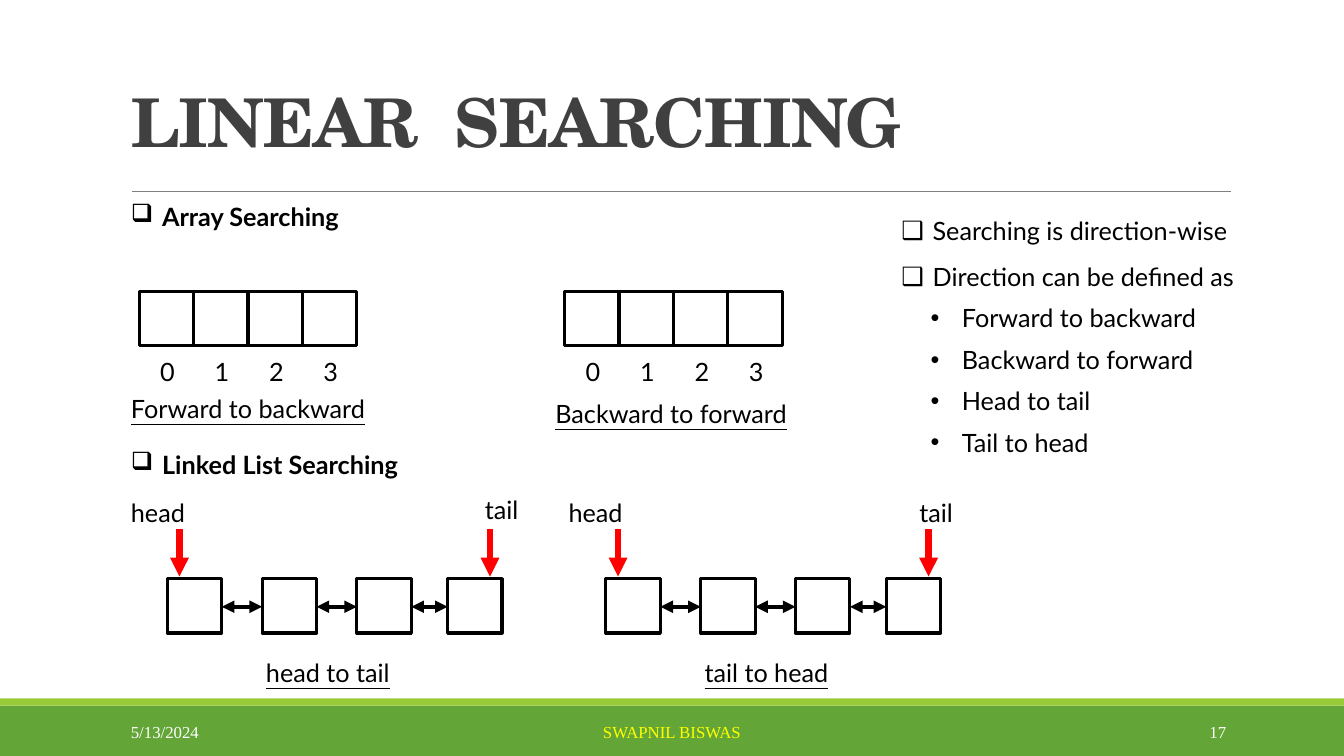
from pptx import Presentation
from pptx.dml.color import RGBColor
from pptx.enum.shapes import MSO_CONNECTOR as Connector, MSO_SHAPE as Shape
from pptx.enum.text import MSO_ANCHOR as Anchor, MSO_AUTO_SIZE as AutoSize, PP_ALIGN as Align
from pptx.oxml.ns import qn
from pptx.util import Inches, Pt
from lxml.etree import SubElement

CELL = 0.54
BLACK, WHITE, RED = "000000", "FFFFFF", "FF0000"


def color(hex_code):
    return RGBColor.from_string(hex_code)


class SearchSlide:
    """Draws the elements of one slide in a shared style."""

    font, size = "Lato", 18
    indent = 0.31

    def __init__(self, deck):
        self.slide = deck.slides.add_slide(deck.slide_layouts[1])
        self.shapes = self.slide.shapes

    def style(self, paragraph, size=None, font=None, hex_code=BLACK, bold=False, underline=False):
        for run in paragraph.runs:
            run.font.size = Pt(size or self.size)
            run.font.name = font or self.font
            run.font.bold = bold
            run.font.underline = underline
            run.font.color.rgb = color(hex_code)

    def bullet(self, paragraph, mark, left=0):
        properties = paragraph._p.get_or_add_pPr()
        properties.set("marL", str(Inches(left + self.indent)))
        properties.set("indent", str(-Inches(self.indent)))
        SubElement(properties, qn("a:buChar")).set("char", mark)

    def title(self, text):
        heading = self.shapes.title
        heading.left, heading.top = Inches(1.2), Inches(0.06)
        heading.width, heading.height = Inches(11), Inches(1.59)
        frame = heading.text_frame
        frame.text = text
        frame.vertical_anchor = Anchor.BOTTOM
        frame.auto_size = AutoSize.NONE
        line = frame.paragraphs[0]
        line.alignment = Align.LEFT
        line.line_spacing = 0.85
        self.style(line, 48, "TeX Gyre Schola", "404040", bold=True)
        line.runs[0].font._element.set("spc", "-50")

    def body(self, items):
        notes = self.slide.placeholders[1]
        notes.left, notes.top = Inches(8.84), Inches(2.09)
        notes.width, notes.height = Inches(3.7), Inches(2.5)
        frame = notes.text_frame
        frame.text = "\n".join(text for _, text in items)
        frame.auto_size = AutoSize.NONE
        for paragraph, (level, _) in zip(frame.paragraphs, items):
            paragraph.level = level
            paragraph.space_before = Pt(8 if level else 11)
            self.bullet(paragraph, "•" if level else "❑", 0.29 * level)
            self.style(paragraph)
        frame.paragraphs[0].space_before = Pt(0)

    def label(self, text, left, top, width, mark=None, **look):
        box = self.shapes.add_textbox(Inches(left), Inches(top), Inches(width), Inches(0.4))
        frame = box.text_frame
        frame.text = text
        frame.word_wrap = False
        frame.auto_size = AutoSize.SHAPE_TO_FIT_TEXT
        if mark:
            self.bullet(frame.paragraphs[0], mark)
        self.style(frame.paragraphs[0], **look)

    def footer(self, text, left, width, align, hex_code=WHITE):
        box = self.shapes.add_textbox(Inches(left), Inches(7.06), Inches(width), Inches(0.4))
        frame = box.text_frame
        frame.text = text
        frame.word_wrap = True
        frame.vertical_anchor = Anchor.MIDDLE
        frame.paragraphs[0].alignment = align
        self.style(frame.paragraphs[0], 12, "Times New Roman", hex_code)

    def box(self, left, top, width, height, fill=WHITE, outline=None):
        rectangle = self.shapes.add_shape(
            Shape.RECTANGLE, Inches(left), Inches(top), Inches(width), Inches(height))
        rectangle.shadow.inherit = False
        rectangle.fill.solid()
        rectangle.fill.fore_color.rgb = color(fill)
        if outline:
            rectangle.line.color.rgb = color(outline)
            rectangle.line.width = Pt(2.25)
        else:
            rectangle.line.fill.background()

    def line(self, start, end, hex_code, width, ends=()):
        connector = self.shapes.add_connector(
            Connector.STRAIGHT, *(Inches(value) for value in (*start, *end)))
        connector.line.color.rgb = color(hex_code)
        connector.line.width = Pt(width)
        for end_tag in ends:
            SubElement(connector.line._get_or_add_ln(), qn(end_tag)).set("type", "triangle")
        SubElement(connector._element.spPr, qn("a:effectLst"))

    def array(self, left, caption, caption_left, caption_top, caption_width):
        for index in range(4):
            cell_left = left + index * CELL
            self.box(cell_left, 2.89, CELL, CELL, outline=BLACK)
            self.label(str(index), cell_left + 0.11, 3.49, 0.34)
        self.label(caption, caption_left, caption_top, caption_width, underline=True)

    def linked_list(self, left, caption, head_left, tail_left, tail_top):
        nodes = [left + offset for offset in (0, 0.94, 1.88, 2.78)]
        for node in nodes:
            self.box(node, 5.74, CELL, CELL, outline=BLACK)
        for node, following in zip(nodes, nodes[1:]):
            self.line((node + CELL, 6.02), (following, 6.02), BLACK, 3, ("a:headEnd", "a:tailEnd"))
        for pointer in (left + 0.12, left + 3.2):
            self.line((pointer, 5.25), (pointer, 5.72), RED, 4.5, ("a:tailEnd",))
        self.label("head", head_left, 4.88, 0.75)
        self.label("tail", tail_left, tail_top, 0.54)
        self.label(caption, left + 0.88, 6.47, 1.46, underline=True)


def main():
    deck = Presentation()
    deck.slide_width, deck.slide_height = Inches(13.33), Inches(7.5)
    page = SearchSlide(deck)

    page.box(0, 7, 13.33, 0.5, "63A537")
    page.box(0, 6.93, 13.33, 0.07, "99CB38")
    page.line((1.31, 1.9), (12.21, 1.9), "808080", 0.5)
    page.title("LINEAR  SEARCHING")

    page.label("Array Searching", 1.2, 1.95, 2.54, mark="❑", bold=True)
    page.array(1.38, "Forward to backward", 1.2, 3.85, 2.55)
    page.array(5.6, "Backward to forward", 5.41, 3.9, 2.51)

    page.label("Linked List Searching", 1.2, 4.41, 3.22, mark="❑", bold=True)
    page.linked_list(1.66, "head to tail", 1.2, 4.71, 4.85)
    page.linked_list(6.01, "tail to head", 5.54, 9.02, 4.88)

    page.body([
        (0, "Searching is direction-wise"),
        (0, "Direction can be defined as"),
        (1, "Forward to backward"),
        (1, "Backward to forward"),
        (1, "Head to tail"),
        (1, "Tail to head"),
    ])

    page.footer("5/13/2024", 1.2, 2.7, Align.LEFT)
    page.footer("SWAPNIL BISWAS", 4.03, 5.27, Align.CENTER, "FFFF00")
    page.footer("17", 10.83, 1.43, Align.RIGHT)
    deck.save("out.pptx")


if __name__ == "__main__":
    main()
